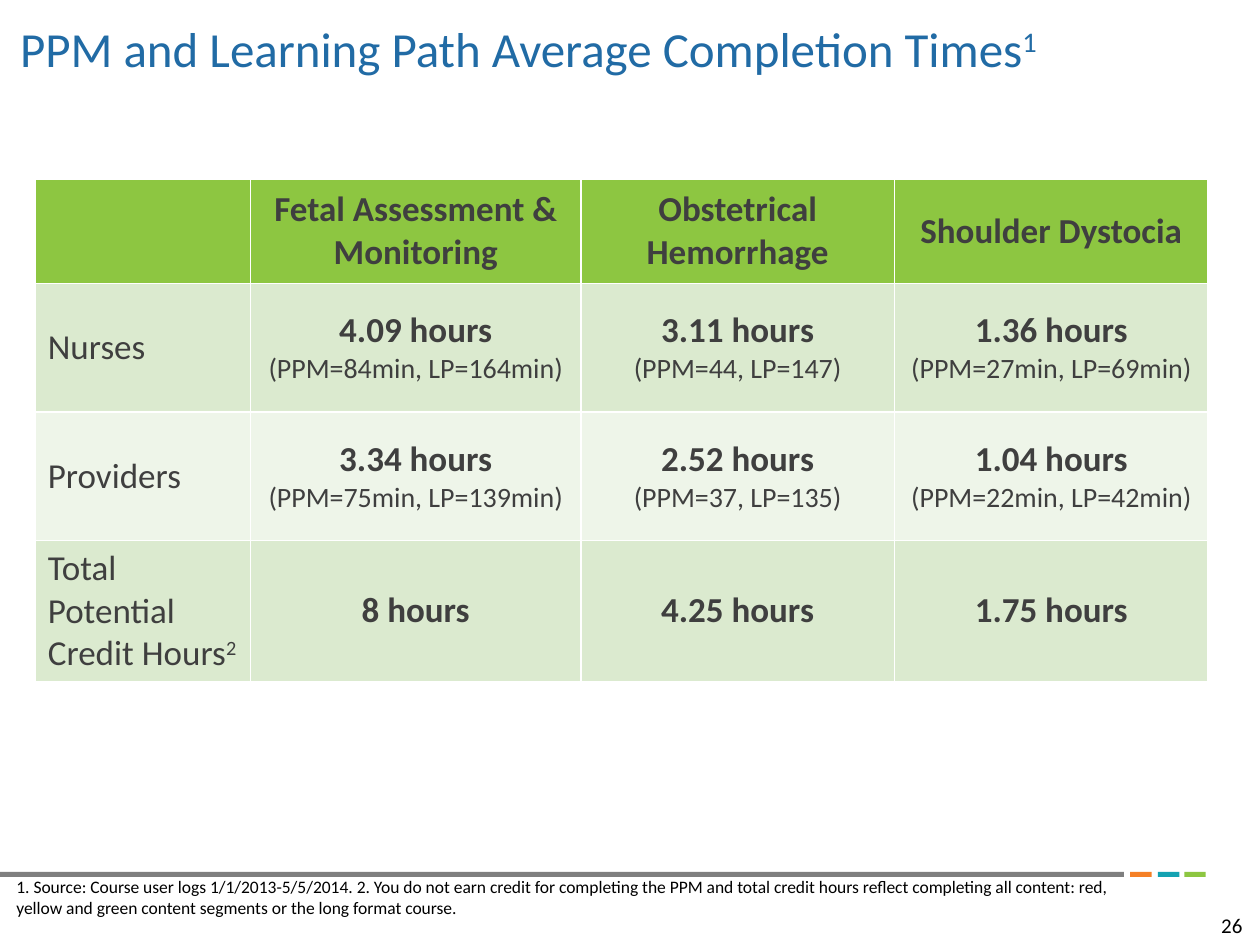
from lxml.etree import SubElement
from pptx import Presentation
from pptx.dml.color import RGBColor
from pptx.enum.shapes import MSO_SHAPE
from pptx.enum.text import MSO_ANCHOR, PP_ALIGN
from pptx.oxml.ns import qn
from pptx.util import Inches, Pt

COLORS = {
    "title": "216BA5", "black": "000000", "text": "3F3F3F", "white": "FFFFFF",
    "gray": "7F7F7F", "orange": "F58026", "teal": "14A2B2", "green": "8DC641",
    "dark_band": "DBEACF", "light_band": "EEF5E9",
}


def add_span(para, text, color, superscript=False, **font_values):
    span = para.add_run()
    span.text = text
    span.font.color.rgb = RGBColor.from_string(COLORS[color])
    for name, value in {"name": "Calibri", **font_values}.items():
        setattr(span.font, name, value)
    if superscript:
        span.font._element.set("baseline", "30000")


def add_box(left, top, width, height, anchor):
    box = page.shapes.add_textbox(Inches(left), Inches(top), Inches(width), Inches(height))
    frame_values = {
        "word_wrap": True, "vertical_anchor": anchor,
        "margin_left": 0, "margin_right": 0, "margin_top": 0, "margin_bottom": 0,
    }
    for name, value in frame_values.items():
        setattr(box.text_frame, name, value)
    return box.text_frame.paragraphs[0]


deck = Presentation()
deck.slide_width = Inches(10)
deck.slide_height = Inches(7.5)
page = deck.slides.add_slide(deck.slide_layouts[6])

footer_bars = [(0, 8.92, "gray"), (8.97, 0.17, "orange"), (9.19, 0.17, "teal"), (9.4, 0.17, "green")]
for left, width, color in footer_bars:
    bar = page.shapes.add_shape(
        MSO_SHAPE.RECTANGLE, Inches(left), Inches(6.92), Inches(width), Inches(0.04))
    bar.shadow.inherit = False
    bar.fill.solid()
    bar.fill.fore_color.rgb = RGBColor.from_string(COLORS[color])
    bar.line.fill.background()

title = add_box(0.16, 0.2, 8.3, 0.42, MSO_ANCHOR.TOP)
title.line_spacing = 0.9
add_span(title, "PPM and Learning Path Average Completion Times", "title", size=Pt(28))
add_span(title, "1", "title", superscript=True, size=Pt(28))

footnote = add_box(0.13, 6.92, 8.85, 0.4, MSO_ANCHOR.MIDDLE)
add_span(
    footnote,
    "1. Source: Course user logs 1/1/2013-5/5/2014. 2. You do not earn credit for completing "
    "the PPM and total credit hours reflect completing all content: red, yellow and green "
    "content segments or the long format course.",
    "black", size=Pt(10))

page_number = add_box(9.27, 7.24, 0.59, 0.2, MSO_ANCHOR.BOTTOM)
page_number.alignment = PP_ALIGN.RIGHT
add_span(page_number, "26", "black", size=Pt(12))

rows = [
    [[], ["Fetal Assessment & Monitoring"], ["Obstetrical Hemorrhage"], ["Shoulder Dystocia"]],
    [["Nurses"], ["4.09 hours", "(PPM=84min, LP=164min)"],
     ["3.11 hours", "(PPM=44, LP=147)"], ["1.36 hours", "(PPM=27min, LP=69min)"]],
    [["Providers"], ["3.34 hours", "(PPM=75min, LP=139min)"],
     ["2.52 hours", "(PPM=37, LP=135)"], ["1.04 hours", "(PPM=22min, LP=42min)"]],
    [["Total Potential", "Credit Hours"], ["8 hours"], ["4.25 hours"], ["1.75 hours"]],
]
row_fills = ["green", "dark_band", "light_band", "dark_band"]
column_widths = [1.71, 2.62, 2.49, 2.49]
row_heights = [0.83, 1.02, 1.02, 1.12]

table = page.shapes.add_table(
    len(rows), len(column_widths), Inches(0.28), Inches(1.42),
    Inches(sum(column_widths)), Inches(sum(row_heights))).table
for column, width in zip(table.columns, column_widths):
    column.width = Inches(width)
for row, height in zip(table.rows, row_heights):
    row.height = Inches(height)

for row_index, row_texts in enumerate(rows):
    for column_index, lines in enumerate(row_texts):
        cell = table.cell(row_index, column_index)
        cell.vertical_anchor = MSO_ANCHOR.MIDDLE
        cell_properties = cell._tc.get_or_add_tcPr()
        for side in ("lnL", "lnR", "lnT", "lnB"):
            border = SubElement(cell_properties, qn(f"a:{side}"), w=str(Pt(1)))
            border_fill = SubElement(border, qn("a:solidFill"))
            SubElement(border_fill, qn("a:srgbClr"), val=COLORS["white"])
        cell.fill.solid()
        cell.fill.fore_color.rgb = RGBColor.from_string(COLORS[row_fills[row_index]])

        is_label = column_index == 0
        for line_index, line in enumerate(lines):
            frame = cell.text_frame
            para = frame.paragraphs[0] if line_index == 0 else frame.add_paragraph()
            para.alignment = PP_ALIGN.LEFT if is_label else PP_ALIGN.CENTER
            is_detail = line_index > 0 and not is_label
            add_span(para, line, "text", size=Pt(16 if is_detail else 20),
                     bold=not is_label and not is_detail)

credit_label = table.cell(3, 0).text_frame.paragraphs[1]
add_span(credit_label, "2", "text", superscript=True, size=Pt(20), bold=False)

deck.save("out.pptx")
